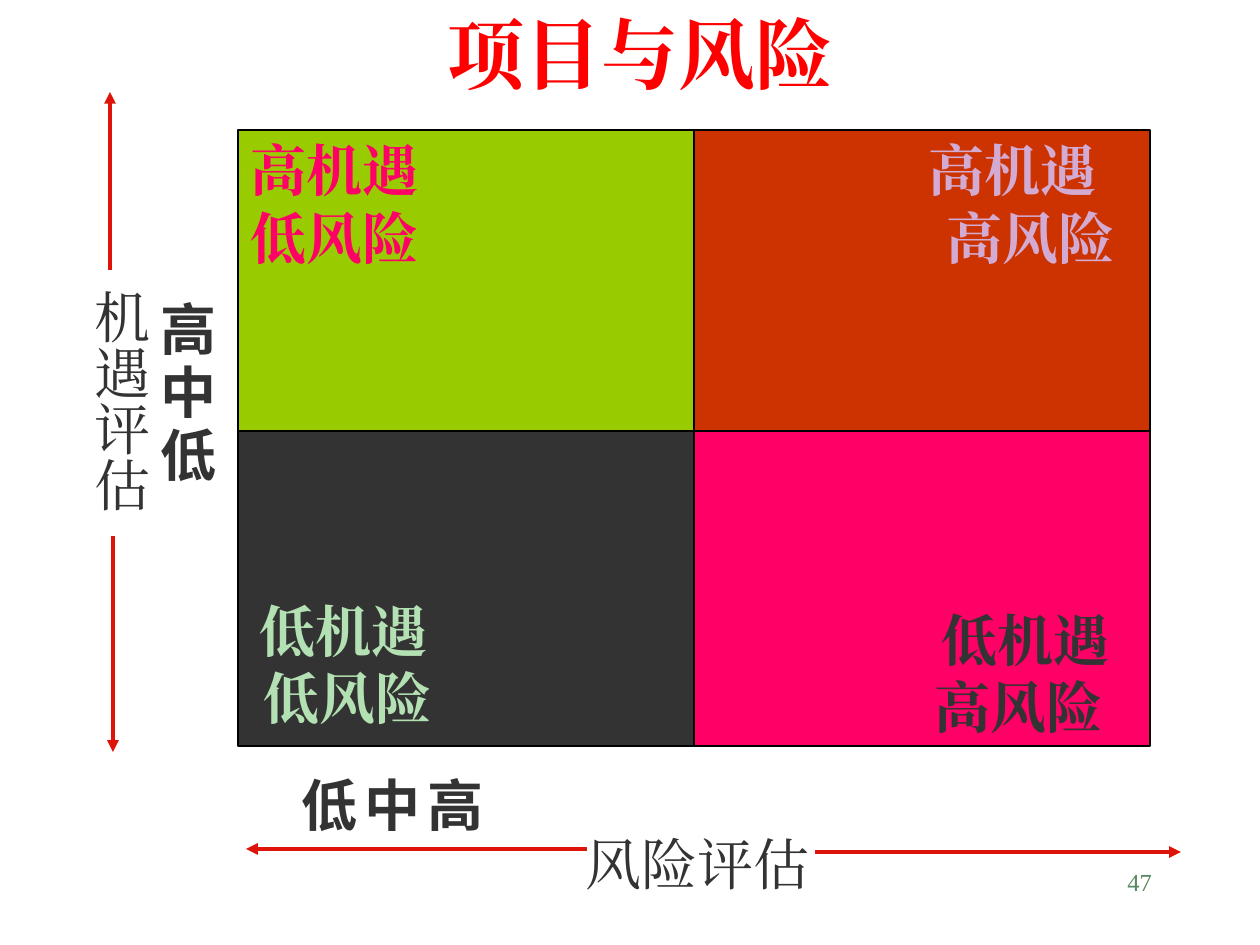
import pptx
import pptx.util
import pptx.dml.color
import pptx.enum.shapes
import pptx.enum.text
import pptx.oxml.ns
from lxml import etree

EMU_PER_PX = 914400 / 126
SERIF = "Times New Roman"
SANS = "Noto Sans CJK SC"
INK = "333333"
ARROW_RED = "DE140A"
ALIGN = pptx.enum.text.PP_ALIGN
ANCHOR = pptx.enum.text.MSO_ANCHOR


def px(length):
    return pptx.util.Emu(round(length * EMU_PER_PX))


def colour(value):
    return pptx.dml.color.RGBColor.from_string(value)


def add_child(parent, tag, **attributes):
    child = etree.SubElement(parent, pptx.oxml.ns.qn(tag))
    for name, value in attributes.items():
        child.set(name, str(value))
    return child


def write_lines(shape, lines, size=32, hue=INK, bold=False, font=SERIF,
                align=ALIGN.LEFT, anchor=ANCHOR.TOP, insets=(13, 6, 13, 6)):
    """Fill a shape with (indent, text, tab stops) lines."""
    frame = shape.text_frame
    left, top, right, bottom = map(px, insets)
    settings = {"word_wrap": True, "vertical_anchor": anchor,
                "margin_left": left, "margin_top": top,
                "margin_right": right, "margin_bottom": bottom}
    for name, value in settings.items():
        setattr(frame, name, value)
    for index, (indent, text, stops) in enumerate(lines):
        para = frame.add_paragraph() if index else frame.paragraphs[0]
        para.alignment = align
        properties = para._p.get_or_add_pPr()
        if indent:
            properties.set("marL", str(px(indent)))
            properties.set("indent", "0")
        if stops:
            tab_list = add_child(properties, "a:tabLst")
            for stop in stops:
                add_child(tab_list, "a:tab", pos=px(stop), algn="l")
        span = para.add_run()
        span.text = text
        for name, value in {"size": pptx.util.Pt(size), "bold": bold, "name": font}.items():
            setattr(span.font, name, value)
        span.font.color.rgb = colour(hue)
        add_child(span._r.get_or_add_rPr(), "a:ea", typeface=font)


def add_text(page, area, lines, vertical=False, **style):
    box = page.shapes.add_textbox(*map(px, area))
    if vertical:
        box.text_frame._txBody.bodyPr.set("vert", "eaVert")
        style["insets"] = (6, 13, 6, 13)
    write_lines(box, lines, **style)


def add_arrow(page, start, end):
    arrow = page.shapes.add_connector(
        pptx.enum.shapes.MSO_CONNECTOR.STRAIGHT, *map(px, start + end))
    arrow.line.color.rgb = colour(ARROW_RED)
    arrow.line.width = pptx.util.Pt(2.25)
    add_child(arrow.line._get_or_add_ln(), "a:tailEnd", type="triangle")
    add_child(arrow._element.spPr, "a:effectLst")


def add_matrix(page, left, top, width, height):
    """Draw the four opportunity and risk quadrants; the rows overlap slightly."""
    cell_width, cell_height = width // 2, 315
    low_row = height - cell_height
    quadrants = [
        (cell_width, 0, "CC3300", "D2AAD2", ("高机遇", 222), ("高风险", 240), 6),
        (0, 0, "99CC00", "FF0066", ("高机遇", 0), ("低风险", 0), 6),
        (cell_width, low_row, "FF0066", INK, ("低机遇", 235), ("高风险", 228), 6),
        (0, low_row, INK, "B3E1B3", ("低机遇", 9), ("低风险", 13), 15),
    ]
    for x, y, fill, hue, chance, risk, bottom_inset in quadrants:
        cell = page.shapes.add_shape(
            pptx.enum.shapes.MSO_SHAPE.RECTANGLE,
            *map(px, (left + x, top + y, cell_width, cell_height)))
        cell.shadow.inherit = False
        cell.fill.solid()
        cell.fill.fore_color.rgb = colour(fill)
        cell.line.color.rgb = colour("000000")
        cell.line.width = pptx.util.Pt(0.75)
        write_lines(cell, [(indent, text, ()) for text, indent in (chance, risk)],
                    hue=hue, bold=True, align=ALIGN.JUSTIFY,
                    anchor=ANCHOR.BOTTOM if y else ANCHOR.TOP,
                    insets=(13, 6, 13, bottom_inset))


def add_opportunity_axis(page, left, top):
    add_text(page, (left + 66, top + 63, 92, 588),
             [(133, "高\t中\t低", (267, 400))], vertical=True, bold=True, font=SANS)
    add_text(page, (left, top + 184, 92, 252), [(0, "机遇评估", ())], vertical=True)
    add_arrow(page, (left + 42, top + 178), (left + 42, top))
    add_arrow(page, (left + 45, top + 444), (left + 45, top + 660))


def add_risk_axis(page, left, top):
    add_text(page, (left + 5, top, 874, 81),
             [(37, "低\t中\t高", (390, 755))], bold=True, font=SANS)
    add_text(page, (left + 313, top + 58, 285, 81), [(13, "风险评估", ())])
    add_arrow(page, (left + 341, top + 84), (left, top + 84))
    add_arrow(page, (left + 569, top + 87), (left + 935, top + 87))


def main():
    deck = pptx.Presentation()
    deck.slide_width, deck.slide_height = px(1260), px(945)
    page = deck.slides.add_slide(deck.slide_layouts[6])
    add_matrix(page, 238, 130, 912, 616)
    add_opportunity_axis(page, 68, 92)
    add_risk_axis(page, 246, 765)
    add_text(page, (105, 21, 1071, 84), [(0, "项目与风险", ())], size=44,
             hue="FF0000", bold=True, align=ALIGN.CENTER, anchor=ANCHOR.BOTTOM)
    add_text(page, (903, 861, 262, 63), [(0, "47", ())], size=14,
             hue="578963", align=ALIGN.RIGHT)
    deck.save("out.pptx")


if __name__ == "__main__":
    main()
